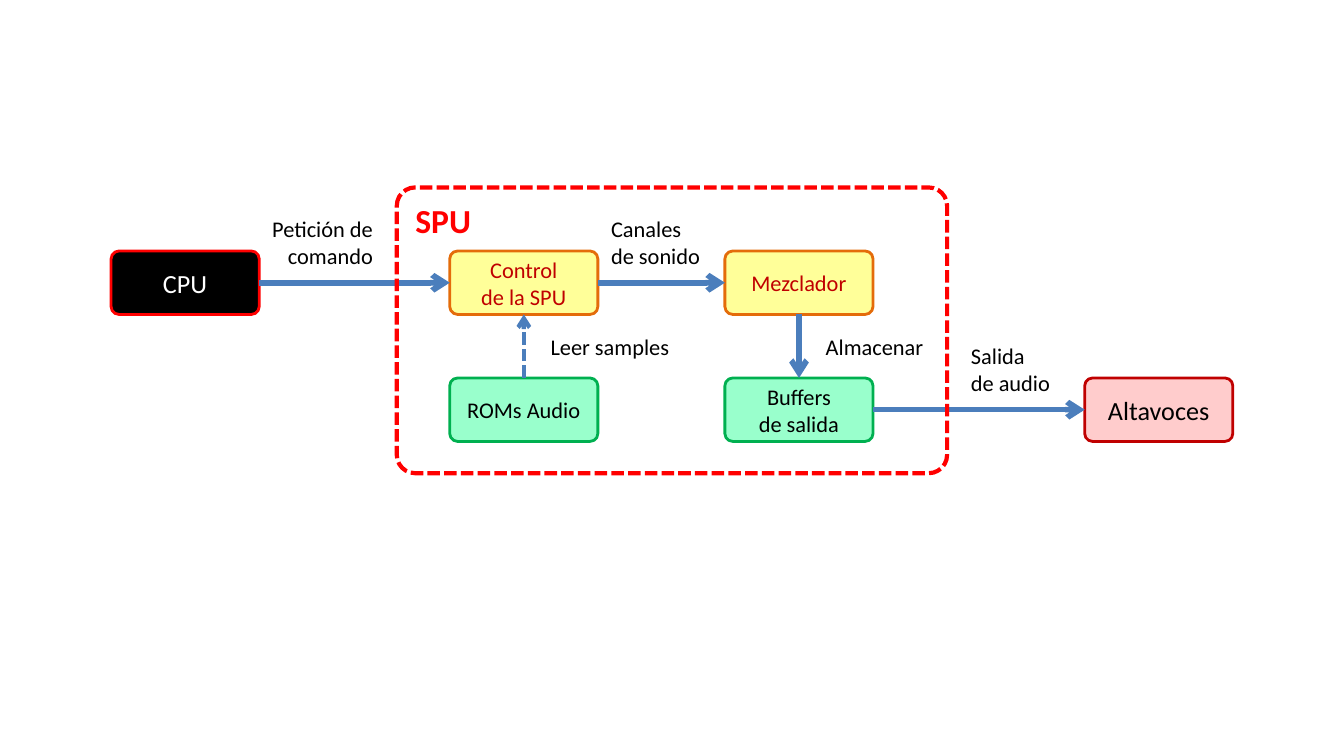
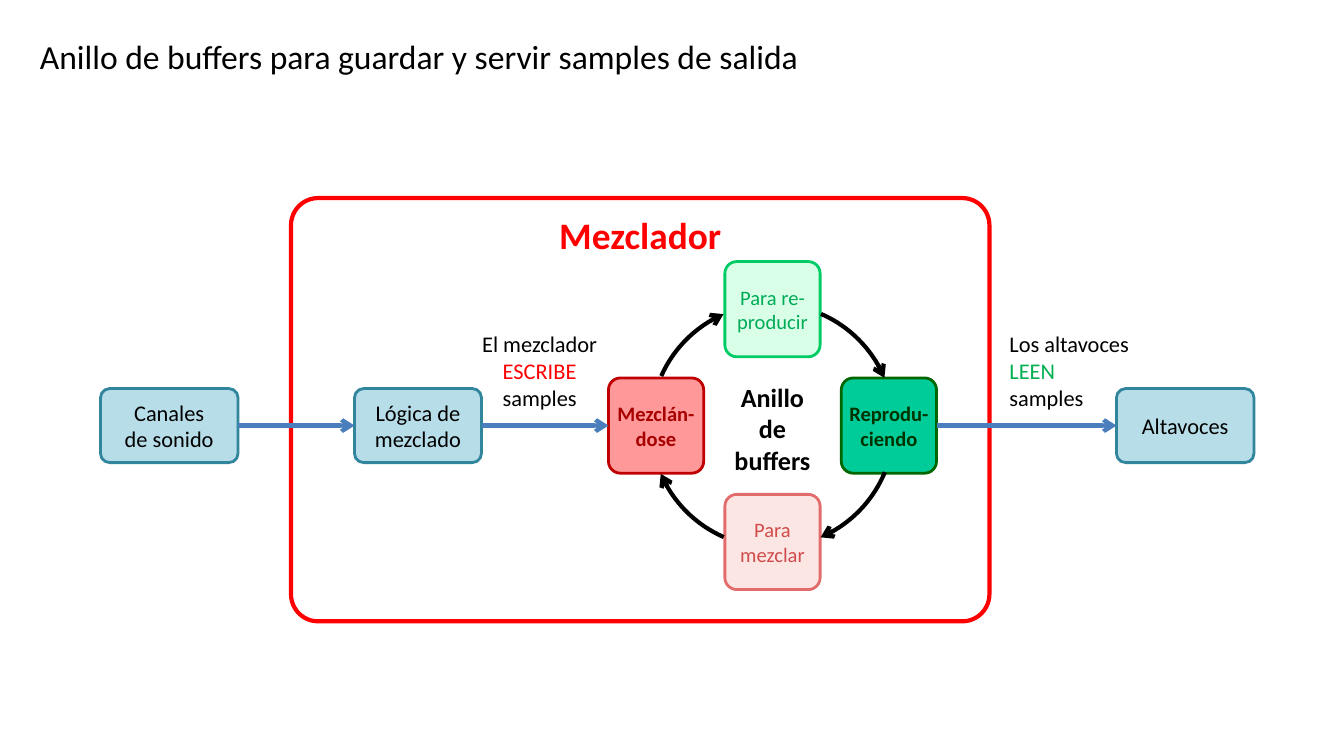
from lxml.etree import SubElement
from pptx import Presentation
from pptx.dml.color import RGBColor
from pptx.enum.dml import MSO_LINE
from pptx.enum.shapes import MSO_CONNECTOR, MSO_SHAPE
from pptx.enum.text import MSO_ANCHOR, MSO_AUTO_SIZE, PP_ALIGN
from pptx.oxml.ns import qn
from pptx.util import Inches, Mm, Pt

COLORS = {
    "black": "000000", "white": "FFFFFF", "red": "FF0000", "crimson": "C00000",
    "arrow": "4B7EBC", "yellow": "FFFF99", "orange": "E46C0A",
    "mint": "99FFCC", "green": "00B050", "pink": "FFCCCC",
    "sky": "B7DEE8", "teal": "31859C",
    "playing": "00CC99", "playing_edge": "006600", "playing_text": "003300",
    "ready": "D9FFE8", "ready_edge": "00CC66", "ready_text": "00AC56",
    "free": "FCE6E4", "free_edge": "E26C6C", "free_text": "D14B4B",
    "mixing": "FF9999", "mixing_edge": "C00000", "mixing_text": "A80000",
}
FONT = "Calibri"
CELL = Mm(2)  # square grid cell, counted from the centre of the slide
TOP, LEFT, BOTTOM, RIGHT = range(4)
TITLE_ONLY, BLANK = 5, 6


def rgb(name):
    return RGBColor.from_string(COLORS[name])


def apply(target, formats):
    for name, value in formats.items():
        setattr(target, name, value)


class Diagram:
    """Draws on the current slide; places are (column, row, columns, rows)."""

    def __init__(self):
        self.deck = Presentation()
        apply(self.deck, {"slide_width": Inches(10), "slide_height": Inches(5.625)})
        self.slide = None

    def new_slide(self, layout):
        self.slide = self.deck.slides.add_slide(self.deck.slide_layouts[layout])

    def area(self, column, row, columns, rows):
        return (int(self.deck.slide_width / 2 + column * CELL),
                int(self.deck.slide_height / 2 + row * CELL),
                int(columns * CELL), int(rows * CELL))

    def put_text(self, shape, text, size=12, color="black", bold=False,
                 align=PP_ALIGN.LEFT, accents=None, **frame_formats):
        """Each line is a paragraph; a word in accents takes its own colour."""
        frame = shape.text_frame
        apply(frame, {"word_wrap": True, "vertical_anchor": MSO_ANCHOR.TOP, **frame_formats})
        for number, line in enumerate(text.split("\n")):
            paragraph = frame.add_paragraph() if number else frame.paragraphs[0]
            paragraph.alignment = align
            for part in line.split("|"):
                run = paragraph.add_run()
                run.text = part
                apply(run.font, {"name": FONT, "size": Pt(size), "bold": bold})
                run.font.color.rgb = rgb((accents or {}).get(part.strip(), color))

    def title(self, text, place):
        heading = self.slide.shapes.title
        apply(heading, dict(zip(("left", "top", "width", "height"), self.area(*place))))
        self.put_text(heading, text, size=18, word_wrap=False, auto_size=MSO_AUTO_SIZE.NONE)

    def outline(self, shape, color, width, dash=None):
        shape.line.color.rgb = rgb(color)
        apply(shape.line, {"width": Pt(width), "dash_style": dash})

    def box(self, place, fill, edge, text="", radius=0.125, width=1.5, dash=None,
            align=PP_ALIGN.CENTER, anchor=MSO_ANCHOR.MIDDLE, **style):
        shape = self.slide.shapes.add_shape(MSO_SHAPE.ROUNDED_RECTANGLE, *self.area(*place))
        shape.adjustments[0] = radius
        shape.shadow.inherit = False
        if fill:
            shape.fill.solid()
            shape.fill.fore_color.rgb = rgb(fill)
        else:
            shape.fill.background()
        self.outline(shape, edge, width, dash)
        if text:
            self.put_text(shape, text, align=align, vertical_anchor=anchor, **style)
        return shape

    def frame(self, place, text, **style):
        return self.box(place, None, "red", text, radius=0.064, width=2.25, color="red",
                        bold=True, anchor=MSO_ANCHOR.TOP, **style)

    def label(self, place, text, **style):
        self.put_text(self.slide.shapes.add_textbox(*self.area(*place)), text, **style)

    def arrowhead(self, shape):
        outline = shape._element.spPr.find(qn("a:ln"))
        SubElement(outline, qn("a:tailEnd"), type="arrow")

    def arrow(self, start, start_side, end, end_side, width=3.0, dash=None):
        line = self.slide.shapes.add_connector(MSO_CONNECTOR.STRAIGHT, 0, 0, 0, 0)
        line.begin_connect(start, start_side)
        line.end_connect(end, end_side)
        self.outline(line, "arrow", width, dash)
        self.arrowhead(line)
        SubElement(line._element.spPr, qn("a:effectLst"))

    def arc(self, place, start, end):
        """Clockwise arc arrow between two angles in degrees from the right."""
        arc = self.slide.shapes.add_shape(MSO_SHAPE.ARC, *self.area(*place))
        for number, angle in enumerate((start, end)):
            arc.adjustments[number] = angle * 0.6
        arc.shadow.inherit = False
        arc.fill.background()
        self.outline(arc, "black", 2.25)
        self.arrowhead(arc)


def draw_spu(d):
    d.new_slide(BLANK)
    upper, lower, wide, high = -12, 0, 14, 6

    # Components
    cpu = d.box((-53, upper, wide, high), "black", "red", "CPU", size=14, color="white")
    control = d.box((-21, upper, wide, high), "yellow", "orange",
                    "Control\nde la SPU", color="crimson")
    mixer = d.box((5, upper, wide, high), "yellow", "orange", "Mezclador", color="crimson")
    roms = d.box((-21, lower, wide, high), "mint", "green", "ROMs Audio")
    buffers = d.box((5, lower, wide, high), "mint", "green", "Buffers\nde salida")
    speakers = d.box((39, lower, wide, high), "pink", "crimson", "Altavoces", size=14)

    # Data flow
    d.arrow(cpu, RIGHT, control, LEFT)
    d.arrow(control, RIGHT, mixer, LEFT)
    d.arrow(roms, TOP, control, BOTTOM, width=2.25, dash=MSO_LINE.SQUARE_DOT)
    d.arrow(mixer, BOTTOM, buffers, TOP)
    d.arrow(buffers, RIGHT, speakers, LEFT)

    # Flow labels
    d.label((-41, -16, 14, 6.4), "Petición de comando", align=PP_ALIGN.RIGHT)
    d.label((-7, -16, 14, 6.4), "Canales\nde sonido")
    d.label((27, -4, 11, 6.4), "Salida\nde audio")
    for column, text in ((-14, "Leer samples"), (10, "Almacenar")):
        d.label((column, -4.85, 15, 3.8), text, align=PP_ALIGN.RIGHT)

    # Limits of the SPU
    d.frame((-26, -18, 52, 27), "SPU", size=18, align=PP_ALIGN.LEFT, dash=MSO_LINE.SQUARE_DOT)


def draw_ring(d):
    d.new_slide(TITLE_ONLY)
    d.title("Anillo de buffers para guardar y servir samples de salida", (-61, -33, 75.2, 5.1))
    d.frame((-36, -17, 66, 40), "Mezclador", size=20)

    # Ring of buffers: colour name, column and row steps from its centre, text, bold
    center_column, center_row, step, side, label_width = 9.5, 4.5, 11, 9, 11
    states = (
        ("playing", 1, 0, "Reprodu-ciendo", True),
        ("ready", 0, -1, "Para re-producir", False),
        ("free", 0, 1, "Para mezclar", False),
        ("mixing", -1, 0, "Mezclán-\ndose", True),
    )
    ring = {}
    for state, across, down, text, bold in states:
        column, row = center_column + across * step, center_row + down * step
        top = row - side / 2
        ring[state] = d.box((column - side / 2, top, side, side), state, state + "_edge")
        d.label((column - label_width / 2, top, label_width, side), text, size=11, bold=bold,
                color=state + "_text", align=PP_ALIGN.CENTER, vertical_anchor=MSO_ANCHOR.MIDDLE)
    for start, end in ((22.5, 66.7), (113.6, 156.6), (204, 246.3), (293.5, 336.9)):
        d.arc((center_column - 11.5, center_row - 11.5, 23, 23), start, end)
    d.label((4, -0.3, label_width, 10.3), "Anillo de buffers", size=14, bold=True,
            align=PP_ALIGN.CENTER)

    # Stages before and after the ring
    channels, logic, speakers = (
        d.box((column, 1, columns, 7), "sky", "teal", text)
        for column, columns, text in ((-54, 13, "Canales\nde sonido"),
                                      (-30, 12, "Lógica de mezclado"),
                                      (42, 13, "Altavoces")))
    for start, end in ((channels, logic), (logic, ring["mixing"]), (ring["playing"], speakers)):
        d.arrow(start, RIGHT, end, LEFT, width=2.25)

    # Who writes and who reads
    for column, text, align in (
            (-20, "El mezclador\nESCRIBE |samples", PP_ALIGN.CENTER),
            (31, "Los altavoces\nLEEN\nsamples", PP_ALIGN.LEFT)):
        d.label((column, -5, 15, 8.6), text, align=align, vertical_anchor=MSO_ANCHOR.MIDDLE,
                accents={"ESCRIBE": "red", "LEEN": "green"},
                margin_left=Inches(0.07), margin_right=Inches(0.07),
                margin_top=Inches(0.04), margin_bottom=Inches(0.04))


def main():
    diagram = Diagram()
    draw_spu(diagram)
    draw_ring(diagram)
    diagram.deck.save("out.pptx")


if __name__ == "__main__":
    main()
